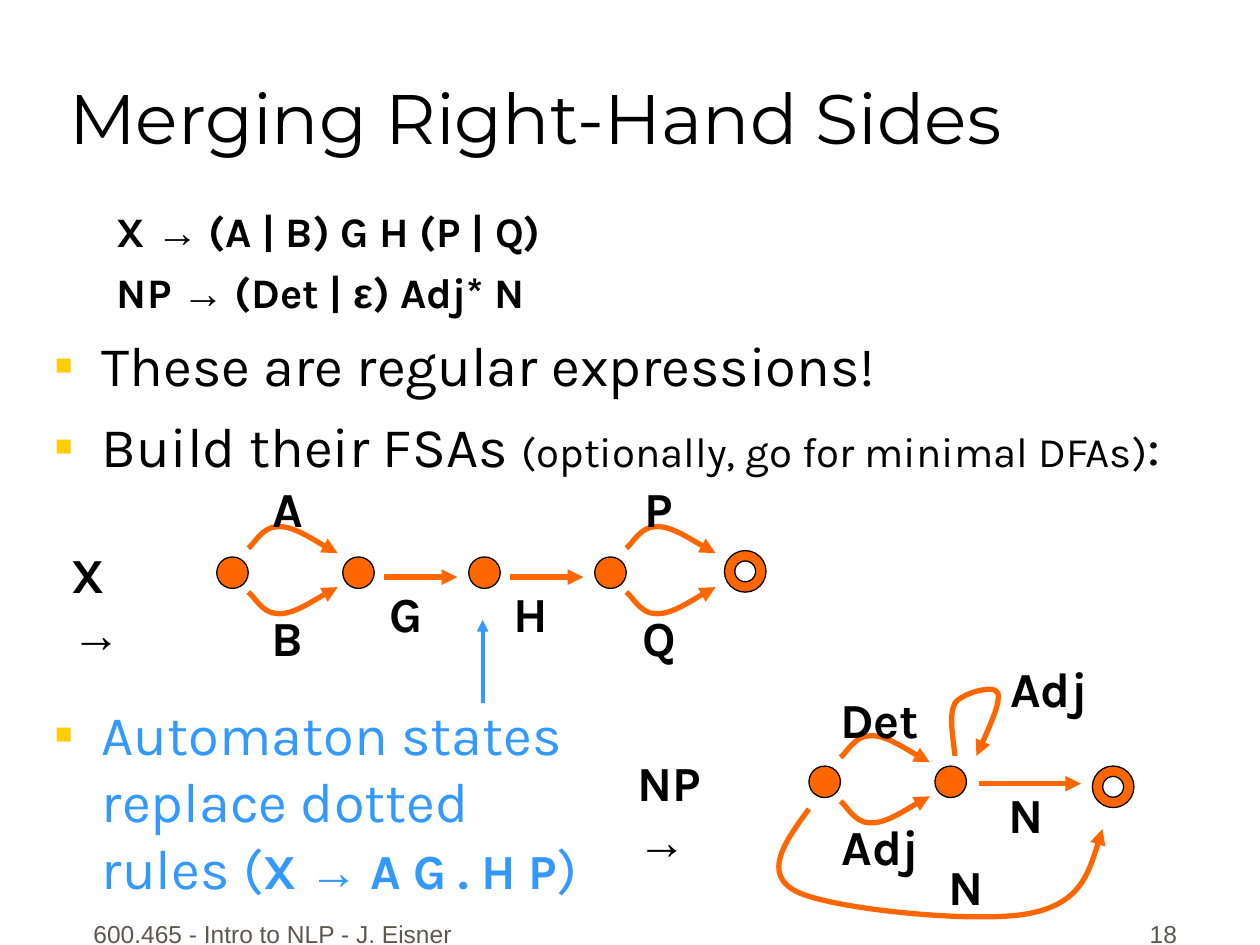
"""Build the slide on merging right-hand sides into finite-state automata."""
from dataclasses import dataclass
from typing import NamedTuple

from lxml import etree
from pptx import Presentation
from pptx.dml.color import RGBColor
from pptx.enum.shapes import MSO_CONNECTOR, MSO_SHAPE
from pptx.enum.text import MSO_ANCHOR, PP_ALIGN
from pptx.oxml.ns import qn
from pptx.util import Inches, Pt

STRAIGHT = MSO_CONNECTOR.STRAIGHT
OVAL, DONUT = MSO_SHAPE.OVAL, MSO_SHAPE.DONUT
TOP, BOTTOM = MSO_ANCHOR.TOP, MSO_ANCHOR.BOTTOM
LEFT, CENTER, RIGHT = PP_ALIGN.LEFT, PP_ALIGN.CENTER, PP_ALIGN.RIGHT

COLORS = {
    "text": "000000",
    "footer": "5E574E",
    "state": "FF6600",
    "note": "3399FF",
    "bullet": "FFCC00",
}
STATE_SIZE, FINAL_SIZE, LABEL_HEIGHT = 0.25, 0.33, 0.57
ARC_MIRROR = 0.21
Point = tuple[float, float]


class Run(NamedTuple):
    text: str
    size: float = 28
    bold: bool = False
    font: str = "Karla"
    color: str = "text"


@dataclass
class Paragraph:
    runs: list[Run]
    align: int = LEFT
    margin: float = 0
    hanging: float = 0
    before: float = 0
    bullet: bool = False


class Label(NamedTuple):
    text: str
    left: float
    top: float
    width: float


class Arrow(NamedTuple):
    start: Point
    end: Point
    color: str = "state"
    weight: float = 3


LOWER_ARC = [(0.25, 0.28), (0.29, 0.3), (0.36, 0.45), (0.48, 0.45),
             (0.6, 0.46), (0.86, 0.29), (0.96, 0.24)]
ADJ_LOOP = [(7.58, 6), (7.56, 5.83), (7.53, 5.67), (7.58, 5.58),
            (7.64, 5.5), (7.89, 5.43), (7.92, 5.5),
            (7.94, 5.57), (7.85, 5.78), (7.75, 6)]
SKIP_DET = [(6.42, 6.42), (6.23, 6.68), (6.04, 6.94), (6.33, 7.08),
            (6.63, 7.22), (7.76, 7.33), (8.17, 7.25),
            (8.57, 7.17), (8.66, 6.88), (8.75, 6.58)]
STATES = [(1.72, 4.42), (2.72, 4.42), (3.72, 4.42), (4.72, 4.42),
          (6.42, 6.08), (7.42, 6.08)]
FORKS = [STATES[0], STATES[3], STATES[4]]
FINAL_STATES = [(5.75, 4.37), (8.67, 6.08)]
ARROWS = [
    Arrow((3.05, 4.58), (3.63, 4.58)),
    Arrow((4.05, 4.58), (4.63, 4.58)),
    Arrow((7.77, 6.22), (8.58, 6.22)),
    Arrow((3.83, 5.58), (3.83, 4.92), "note", 2.25),
]
EDGE_LABELS = [
    Label("A", 2.05, 3.75, 0.47), Label("B", 2.05, 4.77, 0.46),
    Label("P", 5.01, 3.75, 0.44), Label("Q", 4.98, 4.77, 0.51),
    Label("G", 2.98, 4.58, 0.48), Label("H", 3.97, 4.58, 0.49),
    Label("Det", 6.54, 5.42, 0.88), Label("Adj", 6.57, 6.43, 0.83),
    Label("Adj", 7.91, 5.18, 0.83), Label("N", 7.89, 6.18, 0.51),
    Label("N", 7.41, 6.75, 0.51),
]
RULE_LABELS = [Label("X ", 0.47, 4.27, 0.97), Label("NP ", 4.96, 5.92, 1.27)]


def rgb(name: str) -> RGBColor:
    """Look up a named colour."""
    return RGBColor.from_string(COLORS[name])


def add_bullet(paragraph) -> None:
    """Give a paragraph a coloured square bullet."""
    props = paragraph._p.get_or_add_pPr()
    tint = etree.SubElement(props, qn("a:buClr"))
    etree.SubElement(tint, qn("a:srgbClr"), val=COLORS["bullet"])
    etree.SubElement(props, qn("a:buFont"), typeface="Arial")
    etree.SubElement(props, qn("a:buChar"), char="▪")


def add_text(shapes, left: float, top: float, width: float, height: float,
             paragraphs: list[Paragraph], anchor: int = TOP,
             wrap: bool = True, right_inset: float = 0.1) -> None:
    """Add a text box holding formatted paragraphs."""
    box = shapes.add_textbox(*map(Inches, (left, top, width, height)))
    frame = box.text_frame
    for name, value in {"word_wrap": wrap, "vertical_anchor": anchor,
                        "margin_right": Inches(right_inset)}.items():
        setattr(frame, name, value)
    for index, content in enumerate(paragraphs):
        line = frame.add_paragraph() if index else frame.paragraphs[0]
        for name, value in {"alignment": content.align,
                            "space_before": Pt(content.before)}.items():
            setattr(line, name, value)
        props = line._p.get_or_add_pPr()
        props.set("marL", str(Inches(content.margin)))
        props.set("indent", str(-Inches(content.hanging)))
        if content.bullet:
            add_bullet(line)
        for part in content.runs:
            for number, piece in enumerate(part.text.split("\n")):
                if number:
                    line.add_line_break()
                run = line.add_run()
                run.text = piece
                formats = {"name": part.font, "size": Pt(part.size), "bold": part.bold}
                for name, value in formats.items():
                    setattr(run.font, name, value)
                run.font.color.rgb = rgb(part.color)


def style_arrow(line, color: str, weight: float) -> None:
    """Colour a line and put a triangle at its end."""
    line.color.rgb = rgb(color)
    line.width = Pt(weight)
    etree.SubElement(line._get_or_add_ln(), qn("a:tailEnd"), type="triangle")


def add_arrow(shapes, arrow: Arrow) -> None:
    """Draw a straight arrow."""
    link = shapes.add_connector(STRAIGHT, *map(Inches, arrow.start + arrow.end))
    style_arrow(link.line, arrow.color, arrow.weight)
    etree.SubElement(link._element.spPr, qn("a:effectLst"))


def add_curve(shapes, controls: list[Point]) -> None:
    """Draw a curved arrow through chained cubic segments."""
    builder = shapes.build_freeform(*map(Inches, controls[0]))
    builder.add_line_segments([(Inches(x), Inches(y)) for x, y in controls[1:]], close=False)
    curve = builder.convert_to_shape()
    outline = next(curve._element.iter(qn("a:path")))
    legs = outline.findall(qn("a:lnTo"))
    for first in range(0, len(legs), 3):
        cubic = etree.SubElement(outline, qn("a:cubicBezTo"))
        for leg in legs[first:first + 3]:
            cubic.append(leg[0])
            outline.remove(leg)
    curve.shadow.inherit = False
    curve.fill.background()
    style_arrow(curve.line, "state", 3)


def add_state(shapes, kind: int, corner: Point, size: float) -> None:
    """Draw an automaton state."""
    state = shapes.add_shape(kind, *map(Inches, (*corner, size, size)))
    state.shadow.inherit = False
    state.fill.solid()
    state.fill.fore_color.rgb = rgb("state")
    state.line.color.rgb = rgb("text")
    state.line.width = Pt(0.75)


def rule(left_side: str, *right_side: Run, before: float = 0) -> Paragraph:
    """Return an indented grammar rule."""
    runs = [Run(left_side, 24, True), Run("→", 24, True, "Arial"), *right_side]
    return Paragraph(runs, margin=0.81, hanging=0.31, before=before)


def bullet(*runs: Run, before: float = 8) -> Paragraph:
    """Return a bulleted paragraph."""
    return Paragraph(list(runs), margin=0.38, hanging=0.38, before=before, bullet=True)


def add_wording(shapes) -> None:
    """Add the title, the body text and the footer."""
    for left, width, text, align in ((0.58, 3.17, "600.465 - Intro to NLP - J. Eisner", CENTER),
                                     (7.36, 2.08, "18", RIGHT)):
        footer = Paragraph([Run(text, 14, False, "Arial", "footer")], align)
        add_text(shapes, left, 7.08, width, 0.5, [footer], BOTTOM)
    title = Run("Merging Right-Hand Sides", 40, font="Montserrat")
    add_text(shapes, 0.45, 0.06, 8.5, 1.25, [Paragraph([title])], BOTTOM)
    add_text(shapes, 0.33, 1.58, 9.5, 5.08, [
        rule("X ", Run(" (A | B) G H (P | Q)", 24, True)),
        rule("NP ", Run(" (Det | ", 24, True), Run("ε", 24, True, "Arial"),
             Run(") Adj* N", 24, True), before=6),
        bullet(Run("These are regular expressions!", 32)),
        bullet(Run("Build their FSAs ", 32),
               Run("(optionally, go for minimal DFAs)", 24), Run(":", 32)),
    ])
    add_text(shapes, 0.33, 5.5, 5.58, 2.25, [bullet(
        Run("Automaton states \nreplace dotted \nrules (", 32, color="note"),
        Run("X ", 28, True, color="note"), Run("→", 28, True, "Arial", "note"),
        Run(" A G . H P", 28, True, color="note"), Run(")", 32, color="note"), before=0)])


def add_automata(shapes) -> None:
    """Draw both automata with their labels."""
    for kind, size, corners in ((OVAL, STATE_SIZE, STATES), (DONUT, FINAL_SIZE, FINAL_STATES)):
        for corner in corners:
            add_state(shapes, kind, corner, size)
    for x, y in FORKS:
        add_curve(shapes, [(x + dx, y + dy) for dx, dy in LOWER_ARC])
        add_curve(shapes, [(x + dx, y + ARC_MIRROR - dy) for dx, dy in LOWER_ARC])
    for loop in (ADJ_LOOP, SKIP_DET):
        add_curve(shapes, loop)
    for arrow in ARROWS:
        add_arrow(shapes, arrow)
    for text, left, top, width in EDGE_LABELS:
        symbol = Paragraph([Run(text, bold=True)], CENTER)
        add_text(shapes, left, top, width, LABEL_HEIGHT, [symbol], wrap=False)
    for text, left, top, width in RULE_LABELS:
        head = Paragraph([Run(text, bold=True), Run("→", 28, True, "Arial")])
        add_text(shapes, left, top, width, LABEL_HEIGHT, [head], right_inset=0.3)


def main() -> None:
    """Build and save the slide."""
    deck = Presentation()
    deck.slide_width, deck.slide_height = Inches(10), Inches(7.5)
    shapes = deck.slides.add_slide(deck.slide_layouts[6]).shapes
    add_wording(shapes)
    add_automata(shapes)
    deck.save("out.pptx")


if __name__ == "__main__":
    main()
